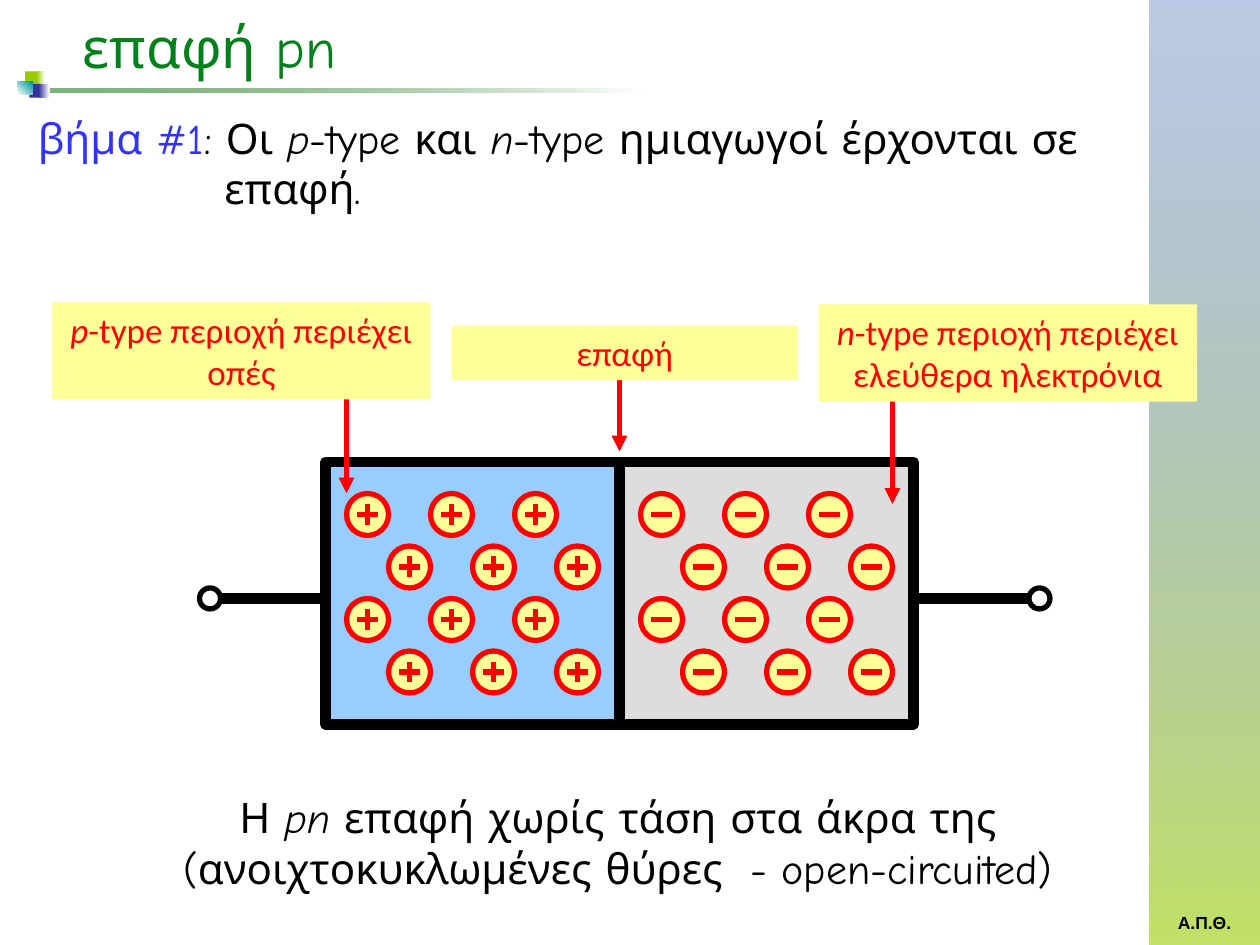
"""Build the slide on the pn junction before any voltage is applied."""
from dataclasses import dataclass

import pptx
import pptx.dml.color
import pptx.enum.dml
import pptx.enum.shapes
import pptx.enum.text
import pptx.oxml
import pptx.oxml.ns
import pptx.util

RECT = pptx.enum.shapes.MSO_SHAPE.RECTANGLE
OVAL = pptx.enum.shapes.MSO_SHAPE.OVAL
LEFT = pptx.enum.text.PP_ALIGN.LEFT
MID = pptx.enum.text.PP_ALIGN.CENTER
COLS, ROWS = 120, 90
BLACK, WHITE, RED, CREAM = "000000", "FFFFFF", "FF0000", "FFFF99"


def hue(code):
    return pptx.dml.color.RGBColor.from_string(code)


def cell(*sizes):
    return [pptx.util.Inches(size / 12) for size in sizes]


def node(tag, **marks):
    item = pptx.oxml.parse_xml(f"<a:{tag} {pptx.oxml.ns.nsdecls('a')}/>")
    for name, value in marks.items():
        item.set(name, str(value))
    return item


@dataclass
class Board:
    slide: object
    head: dict
    body: dict
    note: dict
    foot: dict

    def letter(self, shape, runs, style, align=LEFT):
        frame = shape.text_frame
        form = {"word_wrap": True, "auto_size": pptx.enum.text.MSO_AUTO_SIZE.NONE,
                "vertical_anchor": pptx.enum.text.MSO_ANCHOR.TOP}
        for name, value in form.items():
            setattr(frame, name, value)
        line = frame.paragraphs[0]
        line.alignment = align
        for words, *extra in runs:
            run = line.add_run()
            run.text = words
            look = {**style, **(extra[0] if extra else {})}
            run.font.color.rgb = hue(look.pop("hue"))
            for name, value in look.items():
                setattr(run.font, name, value)
        return line

    def title(self, place, runs, indent):
        shape = self.slide.shapes.title
        for name, value in zip(("left", "top", "width", "height"), cell(*place)):
            setattr(shape, name, value)
        props = self.letter(shape, runs, self.body)._p.get_or_add_pPr()
        props.set("marL", str(indent))
        props.set("indent", str(-indent))

    def text(self, place, runs, style, align=LEFT):
        self.letter(self.slide.shapes.add_textbox(*cell(*place)), runs, style, align)

    def shape(self, kind, place, fill, edge=None, width=3):
        item = self.slide.shapes.add_shape(kind, *cell(*place))
        item.shadow.inherit = False
        if fill:
            item.fill.solid()
            item.fill.fore_color.rgb = hue(fill)
        if edge:
            item.line.color.rgb = hue(edge)
            item.line.width = pptx.util.Pt(width)
        else:
            item.line.fill.background()
        return item

    def blend(self, place, stops, angle=0):
        fill = self.shape(RECT, place, None).fill
        fill.gradient()
        fill.gradient_angle = -angle % 360
        for stop, (code, share) in zip(fill.gradient_stops, stops):
            stop.color.rgb = hue(code)
            if share < 100:
                stop._gs[0].append(node("alpha", val=share * 1000))

    def line(self, start, end, code=RED, width=3, arrow=False):
        kind = pptx.enum.shapes.MSO_CONNECTOR.STRAIGHT
        item = self.slide.shapes.add_connector(kind, *cell(*start, *end))
        item.line.color.rgb = hue(code)
        item.line.width = pptx.util.Pt(width)
        if arrow:
            item.line._get_or_add_ln().append(node("tailEnd", type="triangle"))
        item._element.spPr.append(node("effectLst"))

    def label(self, place, runs):
        self.letter(self.shape(RECT, place, CREAM), runs, self.note, MID)

    def charge(self, col, row, plus):
        self.shape(OVAL, (col, row, 4, 4), CREAM, RED)
        self.line((col + 1, row + 2), (col + 3, row + 2))
        if plus:
            self.line((col + 2, row + 1), (col + 2, row + 3))

    def side(self, col, fill):
        self.shape(RECT, (col, 44, 28, 25), fill, BLACK, 6)

    def frame(self):
        self.blend((3.7, 8.4, 57.5, 0.4), [("006600", 50), (WHITE, 100)])
        self.blend((109.5, 0, 10.5, 90), [("003399", 26), ("99CC00", 60)], 90)
        self.text((111, 86.3, 8.4, 3.2), [("Α.Π.Θ.",)], self.foot)
        self.shape(RECT, (2.4, 6.8, 1.2, 1.3), "99CC00")
        self.blend((3.5, 6.8, 0.8, 1.3), [("99CC00", 100), (WHITE, 100)])
        self.shape(RECT, (2.8, 8, 1.1, 1.3), "333399")
        self.blend((3.7, 8, 1, 1.3), [("333399", 100), (WHITE, 100)])
        self.blend((1.7, 7.8, 1.4, 1.2), [(WHITE, 100), ("009999", 100)], 315)


def main():
    deck = pptx.Presentation()
    deck.slide_width, deck.slide_height = cell(COLS, ROWS)
    base = {"name": "Comic Neue", "size": pptx.util.Pt(24), "hue": BLACK}
    board = Board(
        deck.slides.add_slide(deck.slide_layouts[5]),
        head={**base, "size": pptx.util.Pt(32), "hue": "00801A"},
        body=base,
        note={"name": "Calibri", "size": pptx.util.Pt(20), "hue": RED},
        foot={"name": "Arial", "size": pptx.util.Pt(10), "hue": BLACK, "bold": True})
    slant = {"italic": True}

    board.frame()
    board.text((6.7, 0.6, 100.6, 7.7), [("επαφή pn",)], board.head)
    board.title((2.4, 10.1, 105, 17),
                [("βήμα #1", {"hue": "3333FF"}), (": Οι ",), ("p", slant),
                 ("-type και ",), ("n", slant),
                 ("-type ημιαγωγοί έρχονται σε επαφή.",)],
                pptx.util.Inches(1.48))
    board.text((6.7, 74.8, 104.3, 10.9),
               [("Η ",), ("pn ", slant),
                ("επαφή χωρίς τάση στα άκρα της "
                 "(ανοιχτοκυκλωμένες θύρες  - open-circuited)",)],
               board.body, MID)

    board.line((20, 57), (99, 57), BLACK, 6)
    for col in (19, 98):
        board.shape(OVAL, (col, 56, 2, 2), WHITE, BLACK)
    for col, fill in ((31, "99CCFF"), (59, "DDDDDD")):
        board.side(col, fill)
    for first, plus in ((33, True), (61, False)):
        for row in range(4):
            for col in range(3):
                board.charge(first + 8 * col + 4 * (row % 2), 47 + 5 * row, plus)

    for col, top, end in ((33, 33, 47), (85, 34, 48), (59, 33, 43)):
        board.line((col, top), (col, end), arrow=True)
    board.label((78, 29, 36, 9.25),
                [("n", slant), ("-type περιοχή περιέχει ελεύθερα ηλεκτρόνια",)])
    board.label((5, 28.8, 36, 9.25),
                [("p", slant), ("-type περιοχή περιέχει οπές",)])
    board.label((43, 31, 33, 5.2), [("επαφή",)])
    deck.save("out.pptx")


if __name__ == "__main__":
    main()
